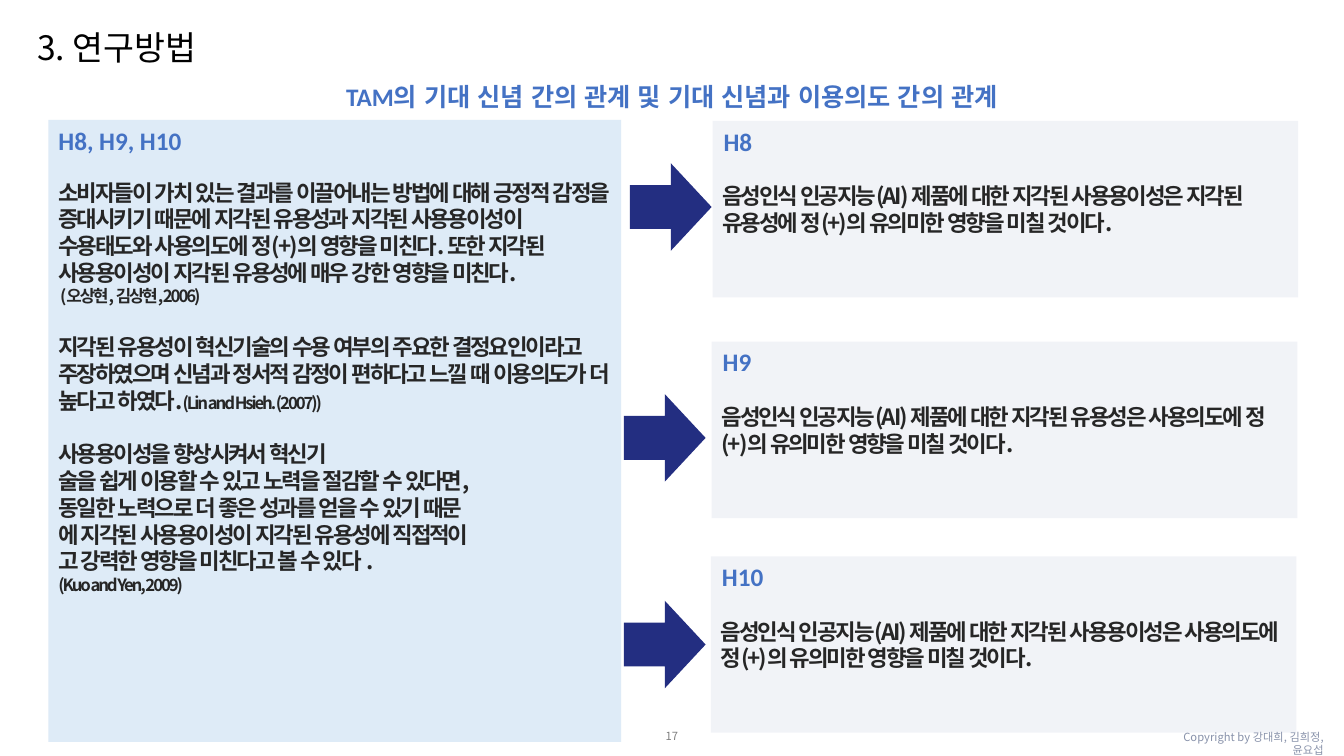
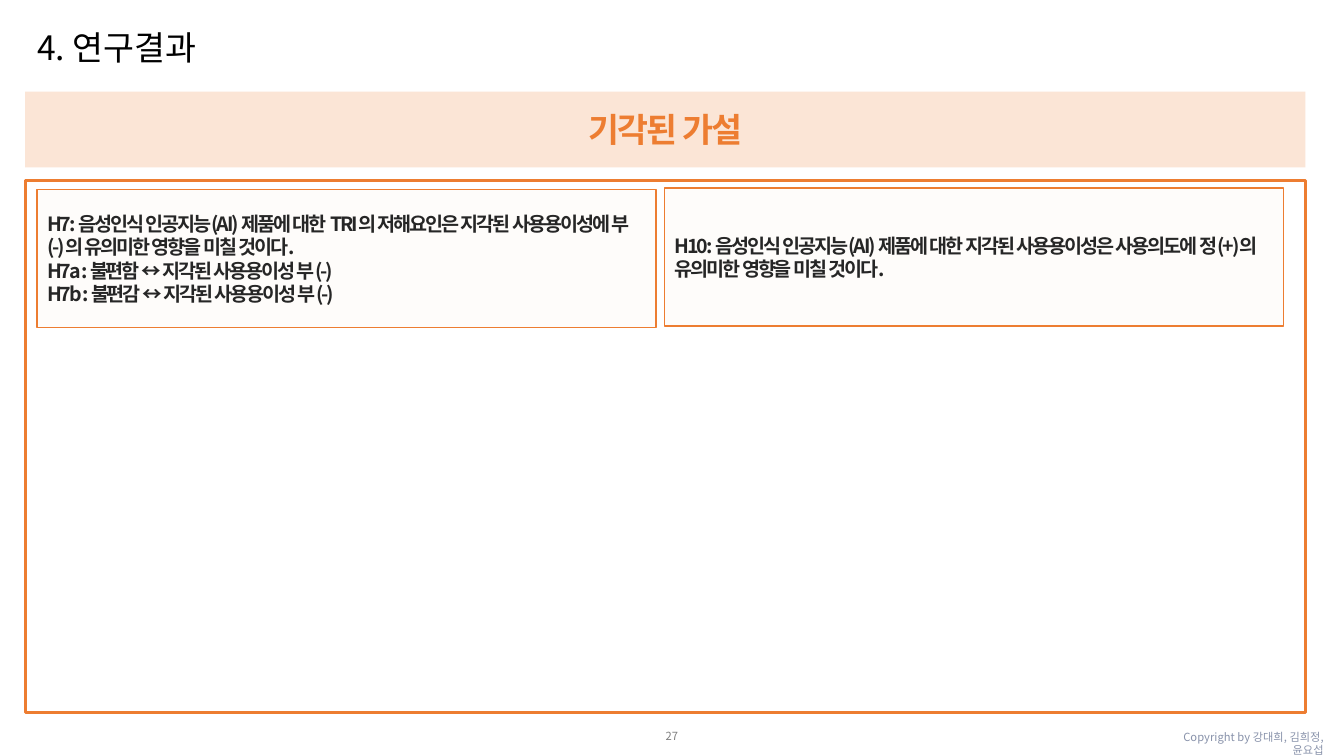
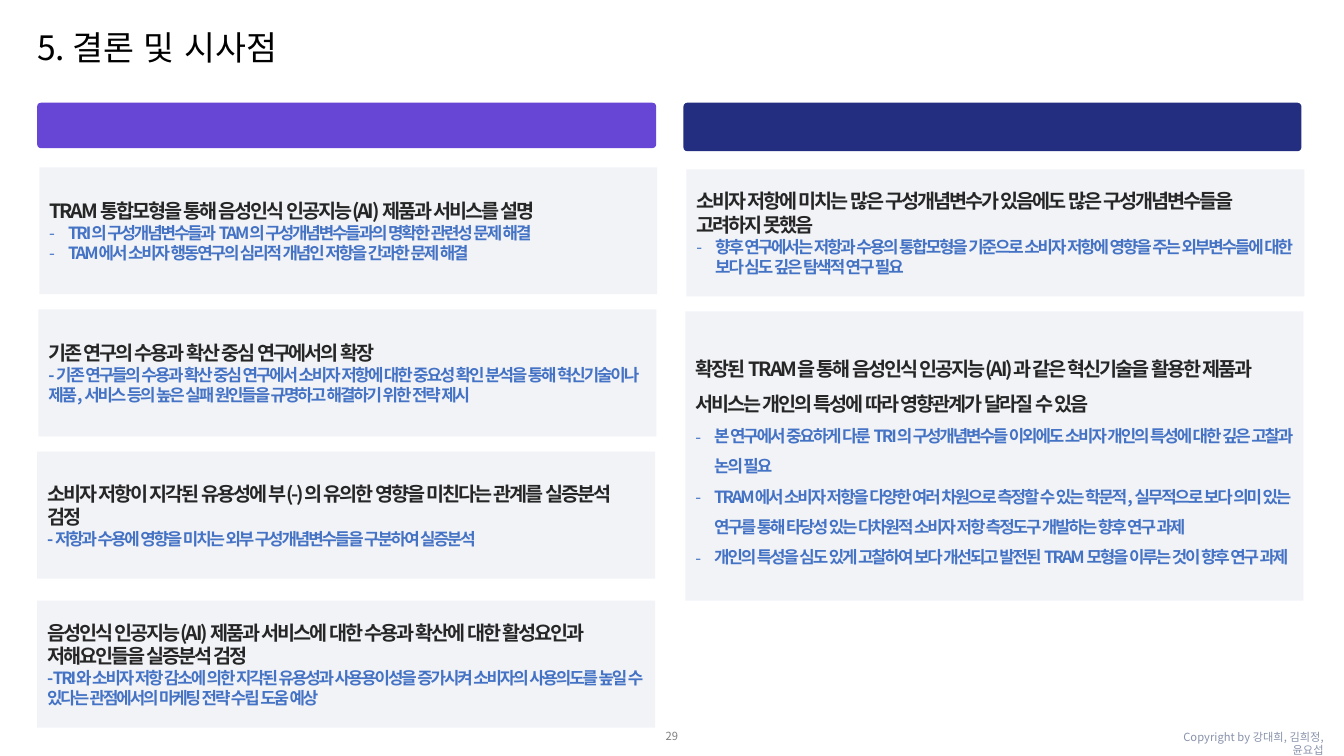
from dataclasses import dataclass, replace
from typing import Optional

from lxml.etree import SubElement as Sub
from pptx import Presentation
from pptx.dml.color import RGBColor
from pptx.enum.lang import MSO_LANGUAGE_ID as Lang
from pptx.enum.shapes import MSO_SHAPE as Kind
from pptx.enum.text import MSO_ANCHOR as Anchor, PP_ALIGN as Align
from pptx.oxml.ns import qn
from pptx.util import Pt

# Shared look
NOTO, LATIN = "Noto Sans CJK KR", "Calibri"
BLACK, INK, GREY, SLATE = "000000", "262626", "808080", "8892AA"
BLUE, NAVY, VIOLET, STEEL, SKY = "4472C4", "232E81", "6746D5", "7C8BB6", "DEEBF7"
ORANGE, PEACH = "ED7D31", "FBE5D6"
WIDE, HIGH = 960, 540
INSET = (7.2, 3.6, 7.2, 3.6)
FLAT = (0, 0, 0, 0)
EDGE = (0, 3.6, 7.2, 3.6)


@dataclass(frozen=True)
class Style:
    size: float
    color: str
    bold: bool = True
    name: str = NOTO
    track: float = -1.5


@dataclass(frozen=True)
class Line:
    runs: tuple
    bullet: bool = False
    before: float = 0
    pitch: Optional[float] = None


@dataclass(frozen=True)
class Area:
    x: float
    y: float
    w: float
    h: float


@dataclass(frozen=True)
class Look:
    fill: Optional[str] = None
    alpha: int = 100
    edge: Optional[str] = None
    width: float = 1


TITLE = Style(24, BLACK, False, track=0)
PAGE = Style(8, GREY, False, track=0)
CREDIT = Style(8, SLATE, False, track=0)
LABEL = Style(18, BLUE, name=LATIN, track=0)
BANNER = Style(24, ORANGE)
BODY = Style(16, INK)
CITE = replace(BODY, size=12)
HEAD = replace(BODY, size=14)
NOTE = Style(12, BLUE)
PANEL = Look(STEEL, 10)
CARD = Look(PEACH, 10, ORANGE)


def tint(text: str) -> RGBColor:
    return RGBColor.from_string(text)


def line(text: str, style: Style, **opts) -> Line:
    return Line(((text, style),), **opts)


# Text
def write(shape, lines: list, align=Align.LEFT, anchor=Anchor.TOP,
          inset: tuple = INSET, wrap: bool = True) -> None:
    frame = shape.text_frame
    left, top, right, low = map(Pt, inset)
    props = dict(word_wrap=wrap, vertical_anchor=anchor, margin_left=left,
                 margin_top=top, margin_right=right, margin_bottom=low)
    for key, val in props.items():
        setattr(frame, key, val)
    for num, item in enumerate(lines):
        para = frame.add_paragraph() if num else frame.paragraphs[0]
        para.alignment = align
        if item.before:
            para.space_before = Pt(item.before)
        if item.pitch:
            para.line_spacing = item.pitch
        if item.bullet:
            prop = para._p.get_or_add_pPr()
            prop.set("marL", str(Pt(13.5)))
            prop.set("indent", str(Pt(-13.5)))
            Sub(prop, qn("a:buFont")).set("typeface", NOTO)
            Sub(prop, qn("a:buChar")).set("char", "-")
        for text, style in item.runs:
            run = para.add_run()
            run.text = text
            form = dict(size=Pt(style.size), bold=style.bold,
                        name=style.name, language_id=Lang.KOREAN)
            for key, val in form.items():
                setattr(run.font, key, val)
            run.font.color.rgb = tint(style.color)
            prop = run._r.get_or_add_rPr()
            prop.set("altLang", "en-US")
            prop.set("spc", str(round(style.track * 100)))
            Sub(prop, qn("a:ea")).set("typeface", NOTO)


def label(slide, area: Area, lines: list, **opts) -> None:
    box = slide.shapes.add_textbox(*map(Pt, (area.x, area.y, area.w, area.h)))
    write(box, lines, **opts)


# Shapes
def draw(slide, area: Area, look: Look, kind=Kind.RECTANGLE):
    shape = slide.shapes.add_shape(
        kind, *map(Pt, (area.x, area.y, area.w, area.h)))
    shape.shadow.inherit = False
    if look.fill:
        shape.fill.solid()
        shape.fill.fore_color.rgb = tint(look.fill)
        if look.alpha < 100:
            color = shape._element.spPr.find(qn("a:solidFill"))[0]
            Sub(color, qn("a:alpha")).set("val", str(look.alpha * 1000))
    else:
        shape.fill.background()
    if look.edge:
        shape.line.color.rgb = tint(look.edge)
        shape.line.width = Pt(look.width)
    else:
        shape.line.fill.background()
    return shape


def panel(slide, area: Area, look: Look, lines: list) -> None:
    write(draw(slide, area, look), lines, anchor=Anchor.MIDDLE)


def start(deck, title: str, page: int):
    slide = deck.slides.add_slide(deck.slide_layouts[6])
    label(slide, Area(466, 520, 28, 12), [line(str(page), PAGE)],
          align=Align.CENTER, anchor=Anchor.MIDDLE, inset=FLAT, wrap=False)
    label(slide, Area(823, 518, 129.6, 17),
          [line("Copyright by 강대희, 김희정, 윤요섭", CREDIT)],
          align=Align.RIGHT, inset=EDGE)
    label(slide, Area(26.6, 15.8, 416, 24), [line(title, TITLE)], inset=EDGE)
    return slide


# Slide 1: hypotheses
def method(deck) -> None:
    slide = start(deck, "3. 연구방법", 17)
    label(slide, Area(0, 54.7, WIDE, 28.8),
          [line("TAM의 기대 신념 간의 관계 및 기대 신념과 이용의도 간의 관계", LABEL)],
          align=Align.CENTER)

    gap = 19
    basis = [
        line("소비자들이 가치 있는 결과를 이끌어내는 방법에 대해 긍정적 감정을 증대시키기 때문에 지각된 유용성과 지각된 사용용이성이 수용태도와 사용의도에 정(+)의 영향을 미친다. 또한 지각된 사용용이성이 지각된 유용성에 매우 강한 영향을 미친다.", BODY),
        line(" (오상현, 김상현, 2006)", CITE),
        Line((("지각된 유용성이 혁신기술의 수용 여부의 주요한 결정요인이라고 주장하였으며 신념과 정서적 감정이 편하다고 느낄 때 이용의도가 더 높다고 하였다.", BODY),
              ("(Lin and Hsieh. (2007))", CITE)), before=gap),
        line("사용용이성을 향상시켜서 혁신기", BODY, before=gap),
        line("술을 쉽게 이용할 수 있고 노력을 절감할 수 있다면,", BODY),
        line("동일한 노력으로 더 좋은 성과를 얻을 수 있기 때문", BODY),
        line("에 지각된 사용용이성이 지각된 유용성에 직접적이", BODY),
        line("고 강력한 영향을 미친다고 볼 수 있다 .", BODY),
        line("(Kuo and Yen, 2009)", CITE),
    ]
    write(draw(slide, Area(34.6, 85.7, 409, 444.2), Look(SKY)), basis,
          inset=(7.2, 42, 7.2, 3.6))
    label(slide, Area(34.6, 85.7, 409, 28.8), [line("H8, H9, H10", LABEL)])

    claims = [
        ("H8", 509, 86.4, 450, 116.6,
         "음성인식 인공지능(AI) 제품에 대한 지각된 사용용이성은 지각된 유용성에 정(+)의 유의미한 영향을 미칠 것이다."),
        ("H9", 508.4, 244.1, 445.7, 281.5,
         "음성인식 인공지능(AI) 제품에 대한 지각된 유용성은 사용의도에 정(+)의 유의미한 영향을 미칠 것이다."),
        ("H10", 507.8, 397.4, 445.7, 429.1,
         "음성인식 인공지능(AI) 제품에 대한 지각된 사용용이성은 사용의도에 정(+)의 유의미한 영향을 미칠 것이다."),
    ]
    for code, x, y, tail, top, text in claims:
        draw(slide, Area(tail, top, 58.3, 62.6), Look(NAVY), Kind.RIGHT_ARROW)
        panel(slide, Area(x, y, 418.3, 126), PANEL, [line(text, BODY)])
        label(slide, Area(x + 0.8, y, 415.4, 28.8), [line(code, LABEL)])


# Slide 2: rejected hypotheses
def result(deck) -> None:
    slide = start(deck, "4. 연구결과", 27)
    bar = draw(slide, Area(18, 65.5, 914.4, 54), Look(PEACH))
    write(bar, [line("기각된 가설", BANNER)],
          align=Align.CENTER, anchor=Anchor.MIDDLE)
    cards = [
        (26.6, 135.2, [
            "H7: 음성인식 인공지능(AI) 제품에 대한 TRI의 저해요인은 지각된 사용용이성에 부(-)의 유의미한 영향을 미칠 것이다.",
            "H7a : 불편함 ↔ 지각된 사용용이성 부(-)",
            "H7b : 불편감 ↔ 지각된 사용용이성 부(-)"]),
        (474.9, 134.2, [
            "H10: 음성인식 인공지능(AI) 제품에 대한 지각된 사용용이성은 사용의도에 정(+)의 유의미한 영향을 미칠 것이다."]),
    ]
    for x, y, texts in cards:
        panel(slide, Area(x, y, 442.1, 98.8), CARD,
              [line(text, HEAD) for text in texts])
    draw(slide, Area(18, 128.9, 914.4, 380.2), Look(edge=ORANGE, width=2.25))


# Slide 3: conclusions
def close(deck) -> None:
    slide = start(deck, "5. 결론 및 시사점", 29)
    tabs = [
        (VIOLET, Area(26.6, 73.4, 442.1, 32.4)),
        (NAVY, Area(488.2, 73.4, 441.4, 34.6)),
    ]
    for color, area in tabs:
        tab = draw(slide, area, Look(color), Kind.ROUNDED_RECTANGLE)
        tab.adjustments[0] = 0.08

    # Place, height, bullets, line pitch, heading, notes
    short, tall = 90.7, 206.6
    cards = [
        (28.1, 119.5, short, True, None,
         "TRAM 통합모형을 통해 음성인식 인공지능(AI) 제품과 서비스를 설명",
         ["TRI의 구성개념변수들과 TAM의 구성개념변수들과의 명확한 관련성 문제 해결",
          "TAM에서 소비자 행동연구의 심리적 개념인 저항을 간과한 문제 해결"]),
        (27.4, 221, short, False, None,
         "기존 연구의 수용과 확산 중심 연구에서의 확장",
         ["- 기존 연구들의 수용과 확산 중심 연구에서 소비자 저항에 대한 중요성 확인 분석을 통해 혁신기술이나 제품, 서비스 등의 높은 실패 원인들을 규명하고 해결하기 위한 전략 제시"]),
        (26.6, 322.6, short, False, None,
         "소비자 저항이 지각된 유용성에 부(-)의 유의한 영향을 미친다는 관계를 실증분석 검정",
         ["- 저항과 수용에 영향을 미치는 외부 구성개념변수들을 구분하여 실증분석"]),
        (26.6, 429.1, short, False, None,
         "음성인식 인공지능(AI) 제품과 서비스에 대한 수용과 확산에 대한 활성요인과 저해요인들을 실증분석 검정",
         ["- TRI와 소비자 저항 감소에 의한 지각된 유용성과 사용용이성을 증가시켜 소비자의 사용의도를 높일 수 있다는 관점에서의 마케팅 전략 수립 도움 예상"]),
        (490.3, 121, short, True, None,
         "소비자 저항에 미치는 많은 구성개념변수가 있음에도 많은 구성개념변수들을 고려하지 못했음",
         ["향후 연구에서는 저항과 수용의 통합모형을 기준으로 소비자 저항에 영향을 주는 외부변수들에 대한 보다 심도 깊은 탐색적 연구 필요"]),
        (489.6, 222.5, tall, True, 1.5,
         "확장된 TRAM을 통해 음성인식 인공지능(AI)과 같은 혁신기술을 활용한 제품과 서비스는 개인의 특성에 따라 영향관계가 달라질 수 있음",
         ["본 연구에서 중요하게 다룬 TRI의 구성개념변수들 이외에도 소비자 개인의 특성에 대한 깊은 고찰과 논의 필요",
          "TRAM에서 소비자 저항을 다양한 여러 차원으로 측정할 수 있는 학문적, 실무적으로 보다 의미 있는 연구를 통해 타당성 있는 다차원적 소비자 저항 측정도구 개발하는 향후 연구 과제",
          "개인의 특성을 심도 있게 고찰하여 보다 개선되고 발전된 TRAM 모형을 이루는 것이 향후 연구 과제"]),
    ]
    for x, y, high, bullet, pitch, head, notes in cards:
        lines = [line(head, HEAD, pitch=pitch)]
        lines += [line(text, NOTE, bullet=bullet, pitch=pitch) for text in notes]
        panel(slide, Area(x, y, 441.4, high), PANEL, lines)


def main() -> None:
    deck = Presentation()
    deck.slide_width, deck.slide_height = Pt(WIDE), Pt(HIGH)
    for build in (method, result, close):
        build(deck)
    deck.save("out.pptx")


if __name__ == "__main__":
    main()
